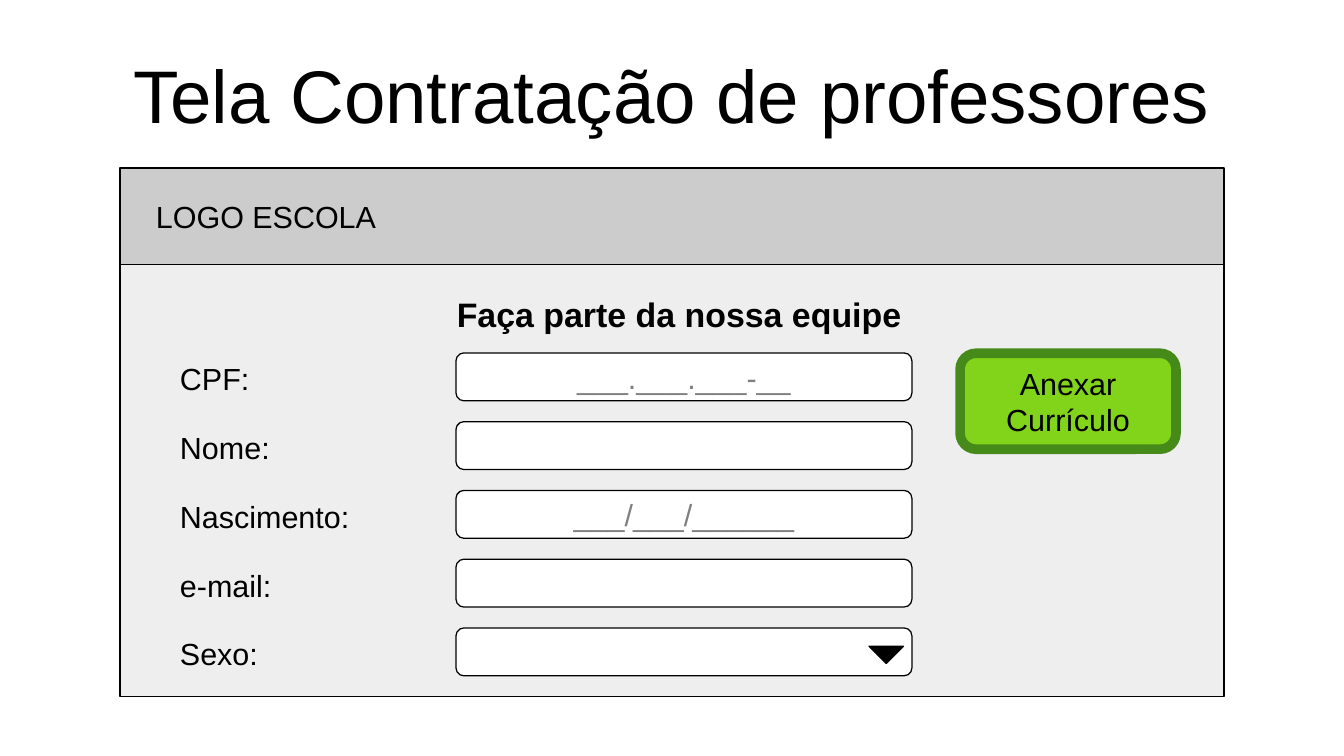
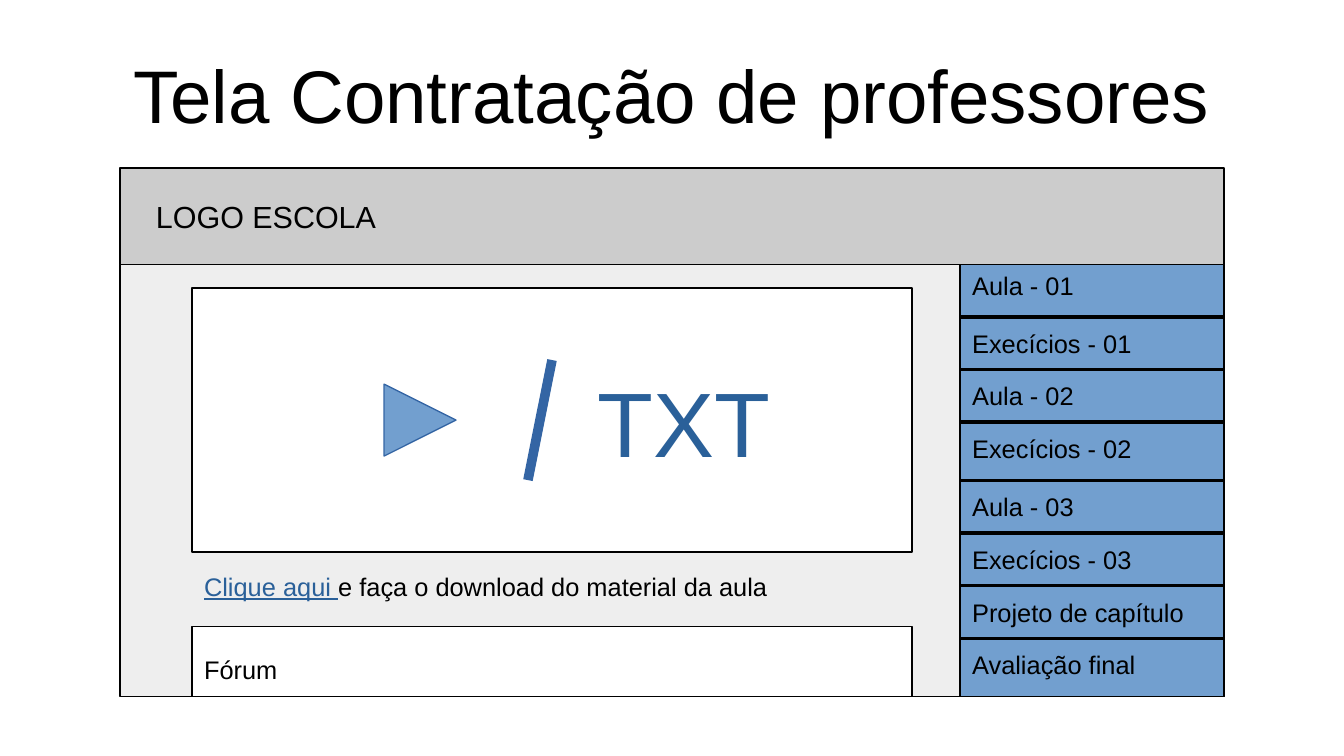
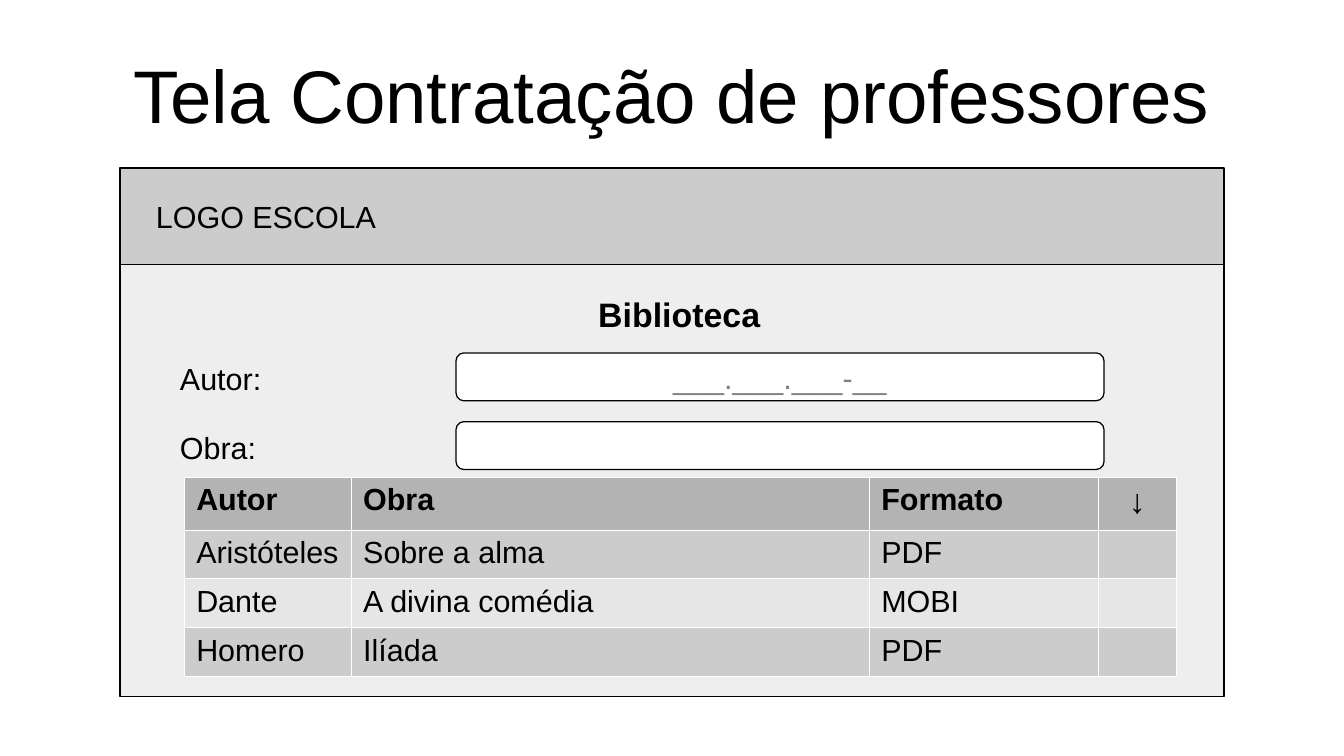
"""Build three wireframe slides for a school website."""
import pptx
import pptx.dml.color
import pptx.enum.shapes
import pptx.enum.text
import pptx.oxml
import pptx.oxml.ns
import pptx.util
from lxml import etree

Pt = pptx.util.Pt
color = pptx.dml.color.RGBColor.from_string
SHAPE = pptx.enum.shapes.MSO_SHAPE
LINE = pptx.enum.shapes.MSO_CONNECTOR.STRAIGHT
ALIGN = pptx.enum.text.PP_ALIGN
qualified = pptx.oxml.ns.qn

BLACK, WHITE, GRAY = "000000", "FFFFFF", "808080"
PALE, SILVER = "EEEEEE", "CCCCCC"
BLUE, DARK_BLUE, LINK_BLUE = "729FCF", "3465A4", "2A6099"
LEFT, WIDTH = 70.9, 652
HEADER_TOP, HEADER_HEIGHT = 99.2, 56.8
BODY_TOP, BODY_HEIGHT = 156, 255.2


def place(slide, kind, box, fill=WHITE, outline=BLACK, outline_width=0):
    box = [Pt(length) for length in box]
    if kind is None:
        shape = slide.shapes.add_textbox(*box)
    else:
        shape = slide.shapes.add_shape(kind, *box)
        shape.shadow.inherit = False
        shape.fill.solid()
        shape.fill.fore_color.rgb = color(fill)
        shape.line.color.rgb = color(outline)
        shape.line.width = Pt(outline_width)
    shape.text_frame.word_wrap = True
    return shape


def write(holder, text, size=18, ink=BLACK, bold=False, align=ALIGN.LEFT):
    paragraph = holder.text_frame.paragraphs[0]
    paragraph.add_run().text = text
    paragraph.alignment = align
    paragraph.font.name = "Arial"
    paragraph.font.size = Pt(size)
    paragraph.font.bold = bold
    paragraph.font.color.rgb = color(ink)
    return paragraph


presentation = pptx.Presentation()
presentation.slide_width = Pt(793.7)
presentation.slide_height = Pt(446.4)

for number in range(3):
    slide = presentation.slides.add_slide(presentation.slide_layouts[5])
    title = slide.shapes.title
    title.left, title.top, title.width, title.height = Pt(39.7), Pt(18), Pt(714.2), Pt(74.8)
    frame = title.text_frame
    frame.margin_left = frame.margin_right = frame.margin_top = frame.margin_bottom = 0
    frame.vertical_anchor = pptx.enum.text.MSO_ANCHOR.MIDDLE
    frame.auto_size = pptx.enum.text.MSO_AUTO_SIZE.NONE
    write(title, "Tela Contratação de professores", 44, align=ALIGN.CENTER)
    place(slide, SHAPE.RECTANGLE, (LEFT, BODY_TOP, WIDTH, BODY_HEIGHT), PALE)
    place(slide, SHAPE.RECTANGLE, (LEFT, HEADER_TOP, WIDTH, HEADER_HEIGHT), SILVER)
    write(place(slide, None, (85, 113.4, 156, 27.4)), "LOGO ESCOLA")

hiring, lesson, library = presentation.slides

FIELD_TOP, FIELD_STEP = 208.4, 40.6
forms = [
    (hiring, "Faça parte da nossa equipe ", 269.3,
     [("CPF:", "___.___.___-__"), ("Nome:", ""), ("Nascimento:", "___/___/______"),
      ("e-mail:", ""), ("Sexo:", "")]),
    (library, "Biblioteca ", 382.7, [("Autor:", "___.___.___-__"), ("Obra:", "")]),
]
for slide, heading, field_width, fields in forms:
    write(place(slide, None, (212.6, 170, 382.7, 29.5)), heading, 20, bold=True, align=ALIGN.CENTER)
    for index, (label, hint) in enumerate(fields):
        top = FIELD_TOP + index * FIELD_STEP
        write(place(slide, None, (99.2, top + 0.8, 170, 27.4)), label)
        field = place(slide, SHAPE.ROUNDED_RECTANGLE, (269.3, top, field_width, 28.3))
        if hint:
            write(field, hint, ink=GRAY, align=ALIGN.CENTER)

button = place(hiring, SHAPE.ROUNDED_RECTANGLE, (567, 208.6, 127.5, 56.7), "81D41A", "468A1A", 5.67)
button.text_frame.margin_left = button.text_frame.margin_right = Pt(10)
button.text_frame.margin_top = button.text_frame.margin_bottom = Pt(6.5)
write(button, "Anexar Currículo", align=ALIGN.CENTER)
dropdown_arrow = place(hiring, SHAPE.RIGHT_TRIANGLE, (516.2, 374.4, 14.4, 14.4), BLACK)
dropdown_arrow.rotation = 315

download = place(lesson, None, (113.4, 333.4, 382.7, 29.5))
paragraph = write(download, "Clique aqui ", 15)
link = paragraph.runs[0]
link.font.underline = True
link.font.color.rgb = color(LINK_BLUE)
paragraph.add_run().text = "e faça o download do material da aula"

for top, height in ((370, 41.2), (170, 156)):
    place(lesson, SHAPE.RECTANGLE, (113.4, top, 425.2, height))

MENU_LEFT, MENU_WIDTH, MENU_STEP = 567, 155.9, 31.1
menu = place(lesson, SHAPE.RECTANGLE, (MENU_LEFT, BODY_TOP, MENU_WIDTH, BODY_HEIGHT), BLUE)
menu_middle = BODY_TOP + BODY_HEIGHT / 2
row_tops = [start + MENU_STEP * step for start in (BODY_TOP, menu_middle) for step in range(4)]
connectors = []
for top in row_tops[1:]:
    divider = lesson.shapes.add_connector(LINE, Pt(MENU_LEFT), Pt(top), Pt(MENU_LEFT + MENU_WIDTH), Pt(top))
    if top == menu_middle:
        divider.begin_connect(menu, 1)
        divider.end_connect(menu, 3)
    connectors.append((divider, BLACK, 0))

entries = ["Aula - 01", "Execícios - 01", "Aula - 02", "Execícios - 02",
           "Aula - 03", "Execícios - 03", "Projeto de capítulo", "Avaliação final"]
for top, entry in zip(row_tops, entries):
    gap = 0 if top == BODY_TOP else 3
    write(place(lesson, None, (MENU_LEFT, top + gap, 141.7, 24)), entry, 15)

play = place(lesson, SHAPE.ISOSCELES_TRIANGLE, (226.8, 226.8, 42.5, 42.5), BLUE, DARK_BLUE)
play.rotation = 90
write(place(lesson, None, (113.4, 382.7, 382.7, 29.5)), "Fórum", 15)
slash = lesson.shapes.add_connector(LINE, Pt(326), Pt(212.6), Pt(311.8), Pt(283.5))
connectors.append((slash, DARK_BLUE, 5.67))
write(place(lesson, None, (340.2, 212.6, 127.5, 67.7)), "TXT", 54, LINK_BLUE, align=ALIGN.CENTER)

for connector, ink, width in connectors:
    connector.line.color.rgb = color(ink)
    connector.line.width = Pt(width)
    etree.SubElement(connector.element.spPr, qualified("a:effectLst"))

books = [("Autor", "Obra", "Formato", "↓"),
         ("Aristóteles", "Sobre a alma", "PDF", ""),
         ("Dante", "A divina comédia", "MOBI", ""),
         ("Homero", "Ilíada", "PDF", "")]
row_fills = ("B3B3B3", SILVER, "E6E6E6", SILVER)
row_heights = (31.3, 28.8, 28.8, 28.8)
column_widths = (98.6, 306, 135.4, 46)
table = library.shapes.add_table(
    4, 4, Pt(108.7), Pt(281.5), Pt(sum(column_widths)), Pt(sum(row_heights))).table
table.first_row = table.horz_banding = False
for column, width in zip(table.columns, column_widths):
    column.width = Pt(width)
for row, height, fill, texts in zip(table.rows, row_heights, row_fills, books):
    row.height = Pt(height)
    for cell, text in zip(row.cells, texts):
        if text == "↓":
            write(cell, text, 20, align=ALIGN.CENTER)
        elif text:
            write(cell, text, bold=texts is books[0])
        properties = cell._tc.get_or_add_tcPr()
        for side in ("a:lnL", "a:lnR", "a:lnT", "a:lnB"):
            border = etree.SubElement(properties, qualified(side), w=str(Pt(0.06)))
            border_fill = etree.SubElement(border, qualified("a:solidFill"))
            etree.SubElement(border_fill, qualified("a:srgbClr"), val=WHITE)
        cell.fill.solid()
        cell.fill.fore_color.rgb = color(fill)

presentation.save("out.pptx")
